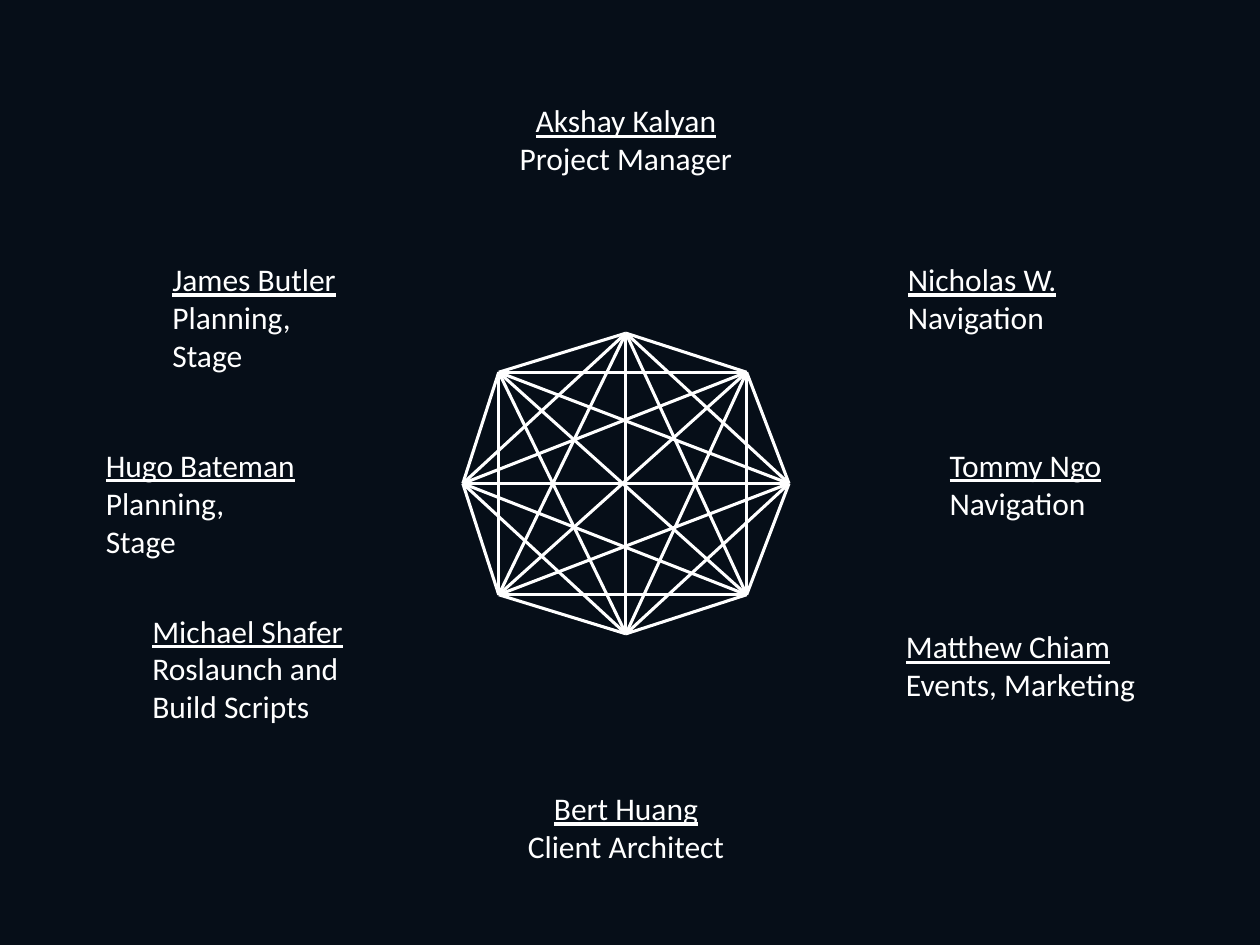
from itertools import combinations

from lxml import etree
from pptx import Presentation
from pptx.dml.color import RGBColor
from pptx.enum.shapes import MSO_CONNECTOR
from pptx.enum.text import MSO_AUTO_SIZE, PP_ALIGN
from pptx.oxml.ns import qn
from pptx.util import Pt

STRAIGHT = MSO_CONNECTOR.STRAIGHT
GROW = MSO_AUTO_SIZE.SHAPE_TO_FIT_TEXT
LEFT, CENTER = PP_ALIGN.LEFT, PP_ALIGN.CENTER
COLORS = {"background": "060E18", "white": "FFFFFF"}

# Name, role lines, alignment, box (left, top, width, height) in points
MEMBERS = [
    ("Akshay Kalyan", ["Project Manager"], CENTER, (288.9, 54.4, 137.5, 51)),
    ("James Butler", ["Planning,", "Stage"], LEFT, (91.4, 145.1, 108.7, 72.7)),
    ("Hugo Bateman", ["Planning,", "Stage"], LEFT, (53.4, 251.3, 124.6, 72.7)),
    ("Michael Shafer", ["Roslaunch and", "Build Scripts"], LEFT,
     (80, 346, 124.6, 72.7)),
    ("Nicholas W.", ["Navigation"], LEFT, (511.7, 145.1, 100, 51)),
    ("Tommy Ngo", ["Navigation"], LEFT, (535.5, 251.3, 102.2, 51)),
    ("Matthew Chiam", ["Events, Marketing"], LEFT, (510.6, 355, 146.9, 51)),
    ("Bert Huang", ["Client Architect"], CENTER, (293.6, 447.4, 128.2, 51)),
]

# Octagon corners as fractions of the network box, clockwise from the top
CORNERS = [(0.5, 0), (0.87, 0.13), (1, 0.5), (0.87, 0.87),
           (0.5, 1), (0.11, 0.87), (0, 0.5), (0.11, 0.13)]


def color(name):
    return RGBColor.from_string(COLORS[name])


def add_text(p, text, size=18, font="Calibri", fill="white", underline=False):
    r = p.add_run()
    r.text = text
    r.font.size = Pt(size)
    r.font.name = font
    r.font.color.rgb = color(fill)
    r.font.underline = underline


def add_member(slide, name, roles, align, box):
    """Underlined name with the role below it."""
    sp = slide.shapes.add_textbox(*map(Pt, box))
    tf = sp.text_frame
    tf.word_wrap = False
    tf.auto_size = GROW
    for i, text in enumerate([name, *roles]):
        p = tf.paragraphs[0] if i == 0 else tf.add_paragraph()
        p.alignment = align
        add_text(p, text, underline=i == 0)


def add_network(slide, left, top, width, height):
    """Octagon with every corner linked to every other."""
    points = [(Pt(left + x * width), Pt(top + y * height)) for x, y in CORNERS]
    for start, end in combinations(points, 2):
        line = slide.shapes.add_connector(STRAIGHT, *start, *end)
        line.line.color.rgb = color("white")
        line.line.width = Pt(1.75)
        etree.SubElement(line._element.spPr, qn("a:effectLst"))


def main():
    prs = Presentation()
    prs.slide_width, prs.slide_height = Pt(720), Pt(540)
    slide = prs.slides.add_slide(prs.slide_layouts[6])
    fill = slide.background.fill
    fill.solid()
    fill.fore_color.rgb = color("background")

    # Team around the network
    for member in MEMBERS:
        add_member(slide, *member)
    add_network(slide, 264.5, 190.4, 186.4, 171.8)

    prs.save("out.pptx")


if __name__ == "__main__":
    main()
